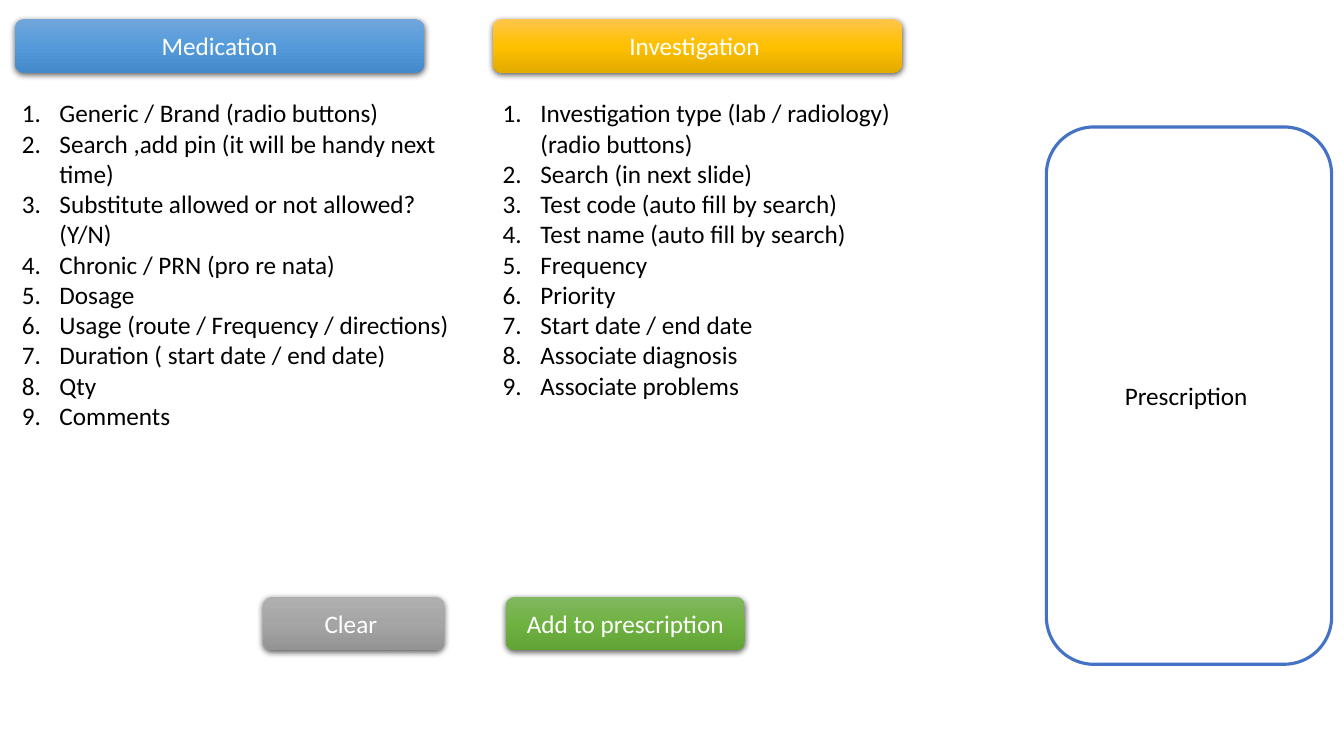
"""Build the prescription entry slide with its medication and investigation forms."""
import copy
from dataclasses import dataclass

import lxml.etree
import pptx
import pptx.dml.color
import pptx.enum.shapes
import pptx.enum.text
import pptx.oxml.ns
import pptx.shapes.autoshape
import pptx.slide
import pptx.text.text
import pptx.util

Cm = pptx.util.Cm
qn = pptx.oxml.ns.qn


@dataclass(frozen=True)
class Theme:
    font: str = "Calibri"
    size: int = 18
    ink: str = "000000"
    paper: str = "FFFFFF"
    outline: str = "4472C4"
    shadow: str = "000000"
    blue: tuple[str, ...] = ("71A6DB", "559BDB", "448ACA")
    gold: tuple[str, ...] = ("FFC64B", "FFC000", "E3AB00")
    gray: tuple[str, ...] = ("AFAFAF", "A5A5A5", "939393")
    green: tuple[str, ...] = ("81B861", "6FB242", "62A336")


@dataclass(frozen=True)
class Button:
    label: str
    left: float
    top: float
    width: float
    shades: tuple[str, ...]


@dataclass(frozen=True)
class FieldList:
    left: float
    width: float
    height: float
    fields: tuple[str, ...]


THEME = Theme()
HEADER_TOP, ACTION_TOP, LIST_TOP = 0.48, 15.04, 2.34
HEADER_WIDTH, BUTTON_HEIGHT, INDENT = 10.31, 1.35, 0.95

BUTTONS = (
    Button("Medication", 0.38, HEADER_TOP, HEADER_WIDTH, THEME.blue),
    Button("Investigation ", 12.42, HEADER_TOP, HEADER_WIDTH, THEME.gold),
    Button("Clear ", 6.63, ACTION_TOP, 4.57, THEME.gray),
    Button("Add to prescription", 12.75, ACTION_TOP, 6.02, THEME.green),
)

FIELD_LISTS = (
    FieldList(0.3, 11.28, 10.26, (
        "Generic / Brand (radio buttons)",
        "Search ,add pin (it will be handy next time)",
        "Substitute allowed or not allowed? (Y/N)",
        "Chronic / PRN (pro re nata)",
        "Dosage",
        "Usage (route / Frequency / directions)",
        "Duration ( start date / end date)",
        "Qty",
        "Comments",
    )),
    FieldList(12.42, 10.74, 7.95, (
        "Investigation type (lab / radiology) (radio buttons)",
        "Search (in next slide)",
        "Test code (auto fill by search)",
        "Test name (auto fill by search)",
        "Frequency",
        "Priority",
        "Start date / end date",
        "Associate diagnosis",
        "Associate problems",
    )),
)


def rgb(value: str) -> pptx.dml.color.RGBColor:
    """Turn a hex string into a colour."""
    return pptx.dml.color.RGBColor.from_string(value)


def write(frame: pptx.text.text.TextFrame, *lines: str, color: str = THEME.ink,
          centered: bool = False, numbered: bool = False) -> None:
    """Fill a text frame with one formatted paragraph per line."""
    frame.word_wrap = True
    if centered:
        frame.vertical_anchor = pptx.enum.text.MSO_ANCHOR.MIDDLE
    for index, line in enumerate(lines):
        paragraph = frame.add_paragraph() if index else frame.paragraphs[0]
        if centered:
            paragraph.alignment = pptx.enum.text.PP_ALIGN.CENTER
        if numbered:
            properties = paragraph._p.get_or_add_pPr()
            properties.set("marL", str(Cm(INDENT)))
            properties.set("indent", str(-Cm(INDENT)))
            lxml.etree.SubElement(properties, qn("a:buFont"), typeface="+mj-lt")
            lxml.etree.SubElement(properties, qn("a:buAutoNum"), type="arabicPeriod")
        run = paragraph.add_run()
        run.text = line
        run.font.name = THEME.font
        run.font.size = pptx.util.Pt(THEME.size)
        run.font.color.rgb = rgb(color)


def add_rounded(slide: pptx.slide.Slide, left: float, top: float, width: float,
                height: float) -> pptx.shapes.autoshape.Shape:
    """Add a rounded rectangle without a shadow."""
    shape = slide.shapes.add_shape(pptx.enum.shapes.MSO_SHAPE.ROUNDED_RECTANGLE,
                                   Cm(left), Cm(top), Cm(width), Cm(height))
    shape.shadow.inherit = False
    return shape


def shade(shape: pptx.shapes.autoshape.Shape, shades: tuple[str, ...]) -> None:
    """Fill a shape with evenly spaced shades running from top to bottom."""
    shape.fill.gradient()
    shape.fill.gradient_angle = 270
    stop_list = shape._element.spPr.find(qn("a:gradFill")).find(qn("a:gsLst"))
    while len(stop_list) < len(shades):
        stop_list.append(copy.deepcopy(stop_list[0]))
    for index, (stop, color) in enumerate(zip(shape.fill.gradient_stops, shades)):
        stop.position = index / (len(shades) - 1)
        stop.color.rgb = rgb(color)


def drop_shadow(shape: pptx.shapes.autoshape.Shape) -> None:
    """Cast a soft shadow straight down."""
    effects = shape._element.spPr.find(qn("a:effectLst"))
    outer = lxml.etree.SubElement(
        effects, qn("a:outerShdw"), blurRad=str(pptx.util.Pt(4.5)),
        dist=str(pptx.util.Pt(1.5)), dir="5400000", algn="ctr", rotWithShape="0")
    color = lxml.etree.SubElement(outer, qn("a:srgbClr"), val=THEME.shadow)
    lxml.etree.SubElement(color, qn("a:alpha"), val="63000")


def add_button(slide: pptx.slide.Slide, button: Button) -> None:
    """Draw a shaded button with its label."""
    shape = add_rounded(slide, button.left, button.top, button.width, BUTTON_HEIGHT)
    shade(shape, button.shades)
    shape.line.fill.background()
    drop_shadow(shape)
    write(shape.text_frame, button.label, color=THEME.paper, centered=True)


def add_field_list(slide: pptx.slide.Slide, field_list: FieldList) -> None:
    """Draw a numbered list of form fields."""
    box = slide.shapes.add_textbox(Cm(field_list.left), Cm(LIST_TOP),
                                   Cm(field_list.width), Cm(field_list.height))
    write(box.text_frame, *field_list.fields, numbered=True)
    box.text_frame.auto_size = pptx.enum.text.MSO_AUTO_SIZE.SHAPE_TO_FIT_TEXT


def add_prescription(slide: pptx.slide.Slide) -> None:
    """Draw the outlined prescription panel."""
    panel = add_rounded(slide, 26.37, 3.2, 7.19, 13.54)
    panel.fill.solid()
    panel.fill.fore_color.rgb = rgb(THEME.paper)
    panel.line.color.rgb = rgb(THEME.outline)
    panel.line.width = pptx.util.Pt(2.25)
    write(panel.text_frame, "Prescription ", centered=True)


def main() -> None:
    """Assemble and save the slide."""
    deck = pptx.Presentation()
    deck.slide_width, deck.slide_height = Cm(33.87), Cm(19.05)
    slide = deck.slides.add_slide(deck.slide_layouts.get_by_name("Blank"))
    add_prescription(slide)
    for field_list in FIELD_LISTS:
        add_field_list(slide, field_list)
    for button in BUTTONS:
        add_button(slide, button)
    deck.save("out.pptx")


if __name__ == "__main__":
    main()
